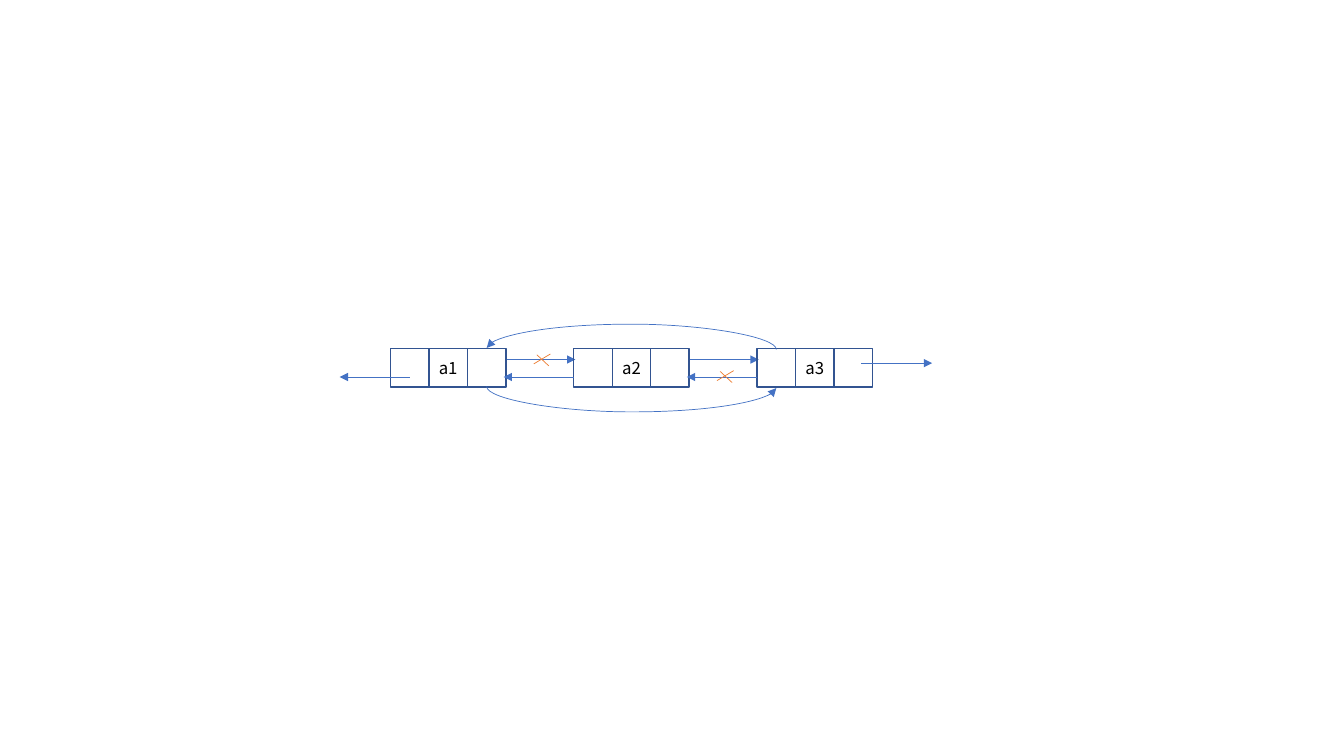
from dataclasses import dataclass

import pptx
import pptx.dml.color
import pptx.enum.shapes
import pptx.enum.text
import pptx.oxml
import pptx.oxml.ns
import pptx.util
from pptx.dml.color import RGBColor
from pptx.enum.shapes import MSO_CONNECTOR
from pptx.util import Cm

BLUE = RGBColor(0x44, 0x72, 0xC4)
NAVY = RGBColor(0x32, 0x54, 0x91)
ORANGE = RGBColor(0xED, 0x7D, 0x31)
BLACK = RGBColor(0, 0, 0)
FONT = "Noto Sans CJK SC"

CELL = 0.97
NODE_LEFT = 9.84
NODE_TOP = 8.78
NODE_STEP = 4.62
NEXT_Y = 9.06
PREV_Y = 9.5
ARROW = 1.77
BULGE = 0.64
SKEW = 0.04


@dataclass
class Line:
    x1: float
    y1: float
    x2: float
    y2: float
    color: RGBColor = BLUE
    arrow: bool = True


@dataclass
class Arc:
    y: float
    rightward: bool


def draw_connector(shapes, kind: MSO_CONNECTOR, line: Line):
    ends = (Cm(v) for v in (line.x1, line.y1, line.x2, line.y2))
    c = shapes.add_connector(kind, *ends)
    c.line.color.rgb = line.color
    c.line.width = pptx.util.Pt(0.5)
    if line.arrow:
        tail = pptx.oxml.parse_xml(f'<a:tailEnd {pptx.oxml.ns.nsdecls("a")} type="triangle"/>')
        c.line._get_or_add_ln().append(tail)
    c._element.spPr.append(pptx.oxml.parse_xml(f'<a:effectLst {pptx.oxml.ns.nsdecls("a")}/>'))
    return c


def draw_line(shapes, line: Line) -> None:
    draw_connector(shapes, MSO_CONNECTOR.STRAIGHT, line)


def draw_arc(shapes, arc: Arc) -> None:
    span = 2 * NODE_STEP - 2 * CELL
    mid = NODE_LEFT + NODE_STEP + 1.5 * CELL
    half = SKEW / 2 if arc.rightward else -SKEW / 2
    rise = span / 2 if arc.rightward else -span / 2
    c = draw_connector(shapes, MSO_CONNECTOR.CURVE,
                       Line(mid + half, arc.y - rise, mid - half, arc.y + rise))
    spPr = c._element.spPr
    spPr.find(pptx.oxml.ns.qn("a:xfrm")).set("rot", "16200000")
    bend = pptx.oxml.parse_xml(
        f'<a:gd {pptx.oxml.ns.nsdecls("a")} name="adj1" fmla="val {round(BULGE / SKEW * 100000)}"/>')
    spPr.find(pptx.oxml.ns.qn("a:prstGeom")).get_or_add_avLst().append(bend)


def draw_cell(shapes, left: float, text: str) -> None:
    s = shapes.add_shape(pptx.enum.shapes.MSO_SHAPE.RECTANGLE,
                         Cm(left), Cm(NODE_TOP), Cm(CELL), Cm(CELL))
    s.shadow.inherit = False
    s.fill.background()
    s.line.color.rgb = NAVY
    s.line.width = pptx.util.Pt(1)
    if not text:
        return
    tf = s.text_frame
    tf.margin_left = tf.margin_right = tf.margin_top = tf.margin_bottom = Cm(0)
    tf.vertical_anchor = pptx.enum.text.MSO_ANCHOR.MIDDLE
    tf.text = text
    p = tf.paragraphs[0]
    p.alignment = pptx.enum.text.PP_ALIGN.CENTER
    r = p.runs[0]
    r.font.name = FONT
    r.font.size = pptx.util.Pt(12)
    r.font.color.rgb = BLACK
    ea = pptx.oxml.parse_xml(f'<a:ea {pptx.oxml.ns.nsdecls("a")} typeface="{FONT}"/>')
    r.font._element.append(ea)


def draw_node(shapes, index: int, name: str) -> None:
    for slot, text in enumerate(("", name, "")):
        draw_cell(shapes, NODE_LEFT + index * NODE_STEP + slot * CELL, text)


def draw_cross(shapes, x: float, y: float) -> None:
    draw_line(shapes, Line(x - 0.14, y - 0.12, x + 0.16, y + 0.16, ORANGE, False))
    draw_line(shapes, Line(x + 0.2, y - 0.14, x - 0.22, y + 0.11, ORANGE, False))


prs = pptx.Presentation()
prs.slide_width = Cm(33.87)
prs.slide_height = Cm(19.05)
shapes = prs.slides.add_slide(prs.slide_layouts[6]).shapes.add_group_shape().shapes

for link in range(2):
    start = NODE_LEFT + 3 * CELL + link * NODE_STEP - 0.02
    draw_line(shapes, Line(start, NEXT_Y, start + ARROW, NEXT_Y))

for index, name in enumerate(("a1", "a2", "a3")):
    draw_node(shapes, index, name)

for link in range(2):
    start = NODE_LEFT + (link + 1) * NODE_STEP
    draw_line(shapes, Line(start, PREV_Y, start - ARROW, PREV_Y))

draw_line(shapes, Line(10.33, PREV_Y, 8.56, PREV_Y))
draw_line(shapes, Line(21.7, 9.15, 23.49, 9.15))

draw_cross(shapes, 13.67, NEXT_Y)
draw_cross(shapes, 13.67 + NODE_STEP, PREV_Y - 0.02)

for arc in (Arc(NODE_TOP + CELL + 0.01, True), Arc(NODE_TOP + 0.01, False)):
    draw_arc(shapes, arc)

prs.save("out.pptx")
